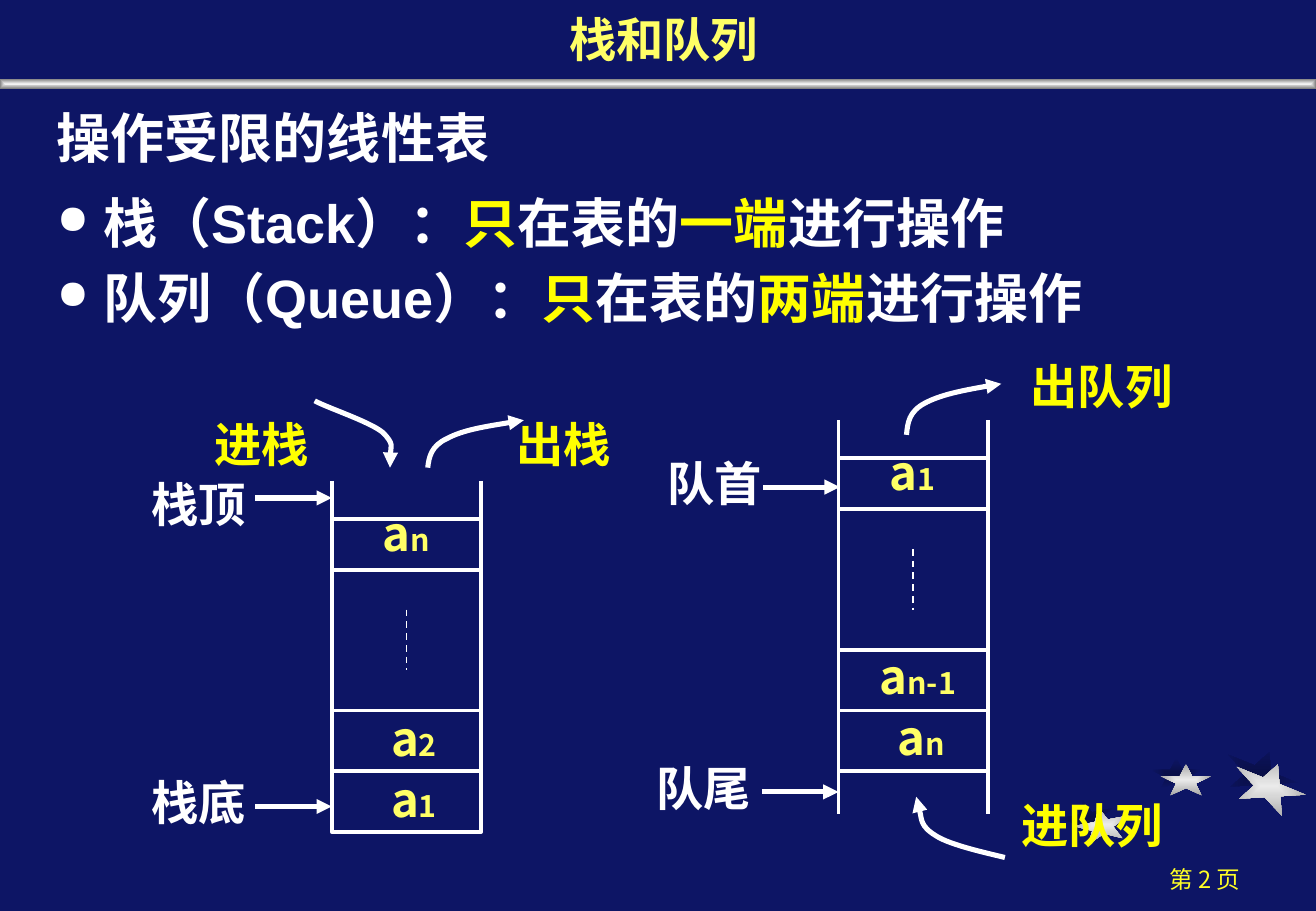
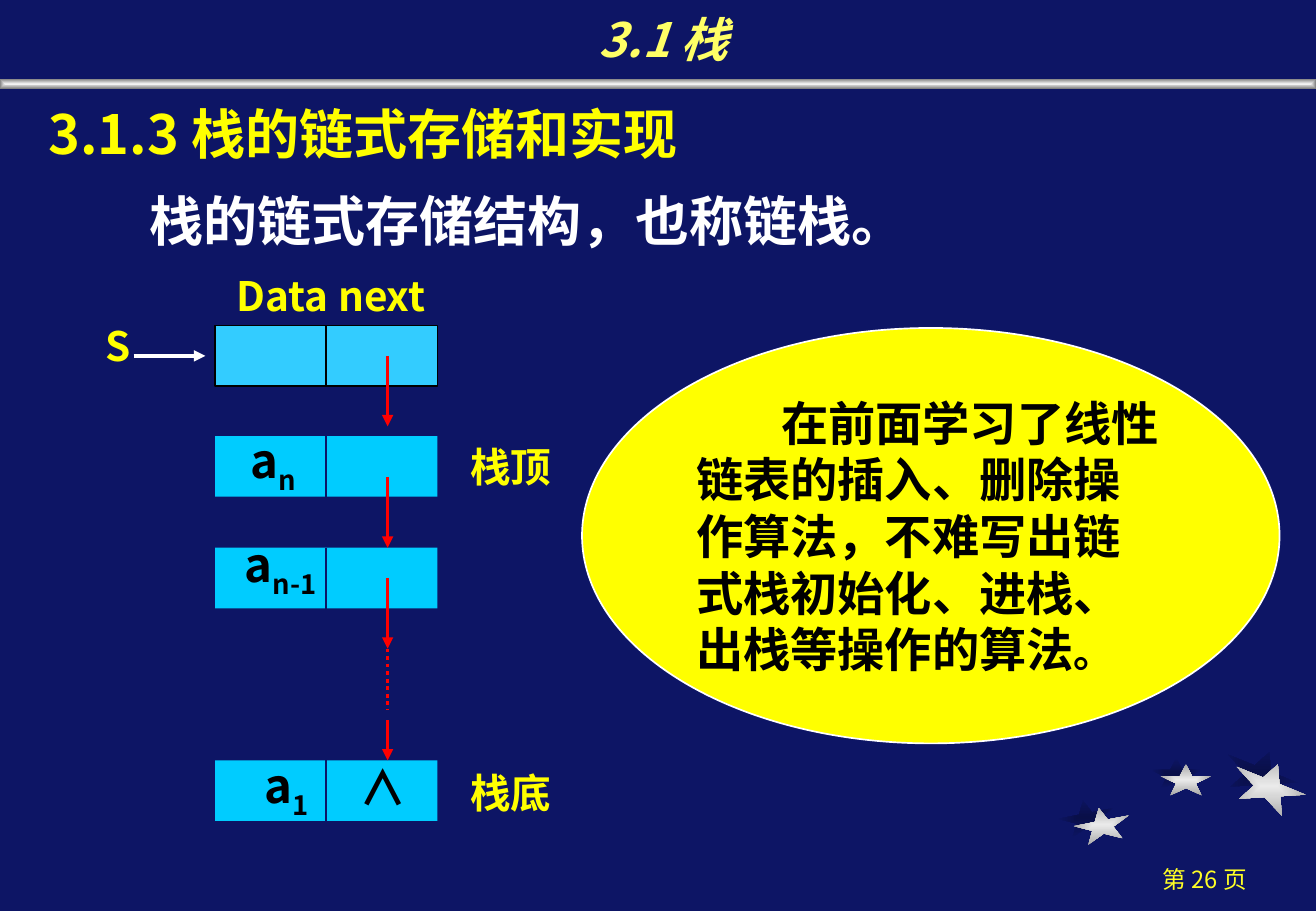
from dataclasses import dataclass
from typing import Optional

from lxml import etree
from pptx import Presentation
from pptx import util as u
from pptx.dml import color
from pptx.enum import dml, shapes, text
from pptx.oxml import ns

COLORS = {
    "navy": "0D1565", "shade": "090F48", "silver": "EAEAEA", "steel": "A7A7A7",
    "shine": "F2F2F2", "gray": "808080", "white": "FFFFFF", "black": "000000",
    "yellow": "FFFF00", "title": "FFFF66", "footer": "FFFF25",
    "red": "FF0000", "cyan": "00CCFF", "sky": "33CCFF",
}
CJK = "Noto Sans CJK SC"
LEFT, CENTER, RIGHT = text.PP_ALIGN.LEFT, text.PP_ALIGN.CENTER, text.PP_ALIGN.RIGHT


@dataclass
class Part:
    words: str
    color: str = ""
    size: int = 0
    subscript: bool = False


@dataclass
class Style:
    size: int = 28
    color: str = "white"
    font: str = CJK
    bold: bool = True
    italic: bool = False
    align: text.PP_ALIGN = LEFT


@dataclass
class Label:
    words: str
    left: float
    top: float
    width: float
    style: Style
    height: float = 0.57


@dataclass
class Star:
    left: float
    top: float
    width: float
    height: float
    turn: int
    shadow_dx: float
    shadow_dy: float


@dataclass
class Element:
    index: str
    left: float
    top: float
    width: float = 0.62


@dataclass
class Column:
    left: float
    top: float
    elements: list[Element]
    open_bottom: bool = False


@dataclass
class Node:
    top: float
    fill: str = "cyan"
    edge: str = "navy"
    outlined: bool = False
    index: str = ""
    index_left: float = 0
    index_top: float = 0


STARS = [
    Star(8.84, 6.65, 0.46, 0.28, 349, 0.13, 0.06),
    Star(9.55, 6.29, 0.42, 0.26, 0, 0.08, 0.05),
    Star(10.14, 6.28, 0.61, 0.38, 22, 0.07, 0.1),
]
ELEMENT = Style(color="title")
ACTION = Style(color="yellow", align=CENTER)
POINTER = Style(align=RIGHT)
CAPTION = Style(24, "yellow")
CELL = Style(color="black", align=CENTER)
COLUMN_WIDTH, COLUMN_HEIGHT = 1.23, 2.58
NODE_LEFT, NODE_WIDTH, NODE_HEIGHT, NEXT_X = 1.77, 1.83, 0.5, 3.19


def rgb(name: str) -> color.RGBColor:
    return color.RGBColor.from_string(COLORS[name])


def write(paragraph, parts: list[Part], style: Style) -> None:
    font = paragraph.font
    font.size, font.bold, font.italic = u.Pt(style.size), style.bold, style.italic
    font.name = style.font
    font.color.rgb = rgb(style.color)
    etree.SubElement(font._element, ns.qn("a:ea"), typeface=CJK)
    paragraph.alignment = style.align
    for part in parts:
        run = paragraph.add_run()
        run.text = part.words
        if part.color:
            run.font.color.rgb = rgb(part.color)
        if part.size:
            run.font.size = u.Pt(part.size)
        if part.subscript:
            run.font._element.set("baseline", "-25000")


def add_box(slide, left: float, top: float, width: float, height: float):
    box = slide.shapes.add_textbox(*map(u.Inches, (left, top, width, height)))
    box.text_frame.word_wrap = True
    return box.text_frame


def add_parts(slide, left: float, top: float, width: float, height: float,
              parts: list[Part], style: Style):
    frame = add_box(slide, left, top, width, height)
    write(frame.paragraphs[0], parts, style)
    return frame


def add_label(slide, label: Label):
    return add_parts(slide, label.left, label.top, label.width, label.height,
                     [Part(label.words)], label.style)


def add_preset(slide, kind, left: float, top: float, width: float, height: float,
               fill: str = "", line: str = "", weight: float = 1):
    preset = slide.shapes.add_shape(kind, *map(u.Inches, (left, top, width, height)))
    preset.shadow.inherit = False
    if fill:
        preset.fill.solid()
        preset.fill.fore_color.rgb = rgb(fill)
    else:
        preset.fill.background()
    if line:
        preset.line.color.rgb = rgb(line)
        preset.line.width = u.Pt(weight)
    else:
        preset.line.fill.background()
    return preset


def shade(preset, inner: str, outer: str) -> None:
    preset.fill.gradient()
    for stop, name, position in zip(preset.fill.gradient_stops, (inner, outer), (0, 1)):
        stop.color.rgb = rgb(name)
        stop.position = position
    gradient = preset._element.spPr.find(ns.qn("a:gradFill"))
    gradient.remove(gradient.find(ns.qn("a:lin")))
    center = etree.SubElement(gradient, ns.qn("a:path"), {"path": "shape"})
    etree.SubElement(center, ns.qn("a:fillToRect"), dict.fromkeys("ltrb", "50000"))


def add_arrowhead(stroke) -> None:
    outline = stroke._element.spPr.find(ns.qn("a:ln"))
    etree.SubElement(outline, ns.qn("a:tailEnd"), type="triangle")


def add_line(slide, x1: float, y1: float, x2: float, y2: float, line: str = "white",
             weight: float = 2.25, dash=None, arrow: bool = False):
    stroke = slide.shapes.add_connector(
        shapes.MSO_CONNECTOR.STRAIGHT, *map(u.Inches, (x1, y1, x2, y2)))
    stroke.line.color.rgb = rgb(line)
    stroke.line.width = u.Pt(weight)
    if dash:
        stroke.line.dash_style = dash
    if arrow:
        add_arrowhead(stroke)
    etree.SubElement(stroke._element.spPr, ns.qn("a:effectLst"))
    return stroke


def add_curved_arrow(slide, points: list[tuple[float, float]]) -> None:
    start, *rest = [(u.Inches(x), u.Inches(y)) for x, y in points]
    builder = slide.shapes.build_freeform(*start)
    builder.add_line_segments(rest, close=False)
    curve = builder.convert_to_shape()
    curve.shadow.inherit = False
    curve.fill.background()
    curve.line.color.rgb = rgb("white")
    curve.line.width = u.Pt(3)
    add_arrowhead(curve)
    steps = list(curve._element.iter(ns.qn("a:lnTo")))
    outline = steps[0].getparent()
    for first in range(0, len(steps), 3):
        bezier = etree.SubElement(outline, ns.qn("a:cubicBezTo"))
        for step in steps[first:first + 3]:
            bezier.append(step[0])
            outline.remove(step)


def add_page(deck, title: str, number: int, italic: bool = False):
    slide = deck.slides.add_slide(deck.slide_layouts[6])
    slide.background.fill.solid()
    slide.background.fill.fore_color.rgb = rgb("navy")
    star5 = shapes.MSO_SHAPE.STAR_5_POINT
    for inner, outer, shift in (("shade", "navy", 1), ("silver", "steel", 0)):
        for star in STARS:
            figure = add_preset(slide, star5, star.left - shift * star.shadow_dx,
                                star.top - shift * star.shadow_dy, star.width, star.height)
            figure.rotation = star.turn
            shade(figure, inner, outer)
    add_label(slide, Label(f"第 {number} 页", 9, 7.07, 1.83,
                           Style(14, "footer", bold=False, align=CENTER), 0.33))
    band = add_preset(slide, shapes.MSO_SHAPE.RECTANGLE, 0, 0.65, 10.83, 0.08)
    shade(band, "shine", "gray")
    heading = add_label(slide, Label(title, 0.38, 0, 10.16,
                                     Style(color="title", italic=italic, align=CENTER), 0.6))
    heading.vertical_anchor = text.MSO_ANCHOR.BOTTOM
    return slide


def add_bullet(paragraph) -> None:
    props = paragraph._p.get_or_add_pPr()
    props.set("marL", str(u.Inches(0.38)))
    props.set("indent", str(-u.Inches(0.38)))
    tint = etree.SubElement(props, ns.qn("a:buClr"))
    etree.SubElement(tint, ns.qn("a:srgbClr"), val=COLORS["white"])
    etree.SubElement(props, ns.qn("a:buSzPct"), val="75000")
    etree.SubElement(props, ns.qn("a:buChar"), char="●")


def add_column(slide, column: Column) -> None:
    left, top = column.left, column.top
    right = left + COLUMN_WIDTH
    add_preset(slide, shapes.MSO_SHAPE.RECTANGLE, left, top, COLUMN_WIDTH, COLUMN_HEIGHT,
               line="white", weight=2.25)
    for drop in (0.42, 1.58, 2.08):
        add_line(slide, left, top + drop, right, top + drop)
    middle = left + COLUMN_WIDTH / 2
    add_line(slide, middle, top + 0.75, middle, top + 1.25,
             weight=1, dash=dml.MSO_LINE.DASH)
    for start in (-0.31, COLUMN_HEIGHT) if column.open_bottom else (-0.31,):
        for wall in (left, right):
            add_line(slide, wall, top + start, wall, top + start + 0.35)
    for element in column.elements:
        add_parts(slide, element.left, element.top, element.width, 0.57,
                  [Part("a"), Part(element.index, size=18)], ELEMENT)


def add_node(slide, node: Node) -> None:
    cell = add_preset(slide, shapes.MSO_SHAPE.RECTANGLE, NODE_LEFT, node.top, NODE_WIDTH,
                      NODE_HEIGHT, node.fill, node.edge if node.outlined else "")
    middle = NODE_LEFT + NODE_WIDTH / 2
    divider: Optional[object] = add_line(slide, middle, node.top, middle,
                                         node.top + NODE_HEIGHT, node.edge, 1)
    divider.begin_connect(cell, 0)
    divider.end_connect(cell, 2)
    if node.index:
        add_parts(slide, node.index_left, node.index_top, 0.92, 0.57,
                  [Part("a"), Part(node.index, subscript=True)], CELL)


def build_overview(deck) -> None:
    slide = add_page(deck, "栈和队列", 2)
    frame = add_box(slide, 0.37, 0.81, 10.16, 2.16)
    body = Style(32, font="Arial")
    write(frame.paragraphs[0], [Part("操作受限的线性表")], body)
    for term, ends, gap in (("栈（Stack）：", "一端", 12), ("队列（Queue）：", "两端", 6)):
        item = frame.add_paragraph()
        add_bullet(item)
        item.space_before = u.Pt(gap)
        write(item, [Part(term), Part("只", "yellow"), Part("在表的"),
                     Part(ends, "yellow"), Part("进行操作")], body)
    add_column(slide, Column(2.73, 4.27, [
        Element("n", 3.05, 4.1), Element("2", 3.12, 5.79), Element("1", 3.12, 6.29)]))
    add_column(slide, Column(6.9, 3.77, [
        Element("1", 7.22, 3.6), Element("n-1", 7.14, 5.28, 0.96),
        Element("n", 7.29, 5.78)], open_bottom=True))
    for words, left, top, arrow_x, arrow_y in (
            ("栈顶", 0.77, 3.86, 2.1, 4.1), ("栈底", 0.77, 6.32, 2.1, 6.64),
            ("队首", 5.02, 3.69, 6.28, 4.01), ("队尾", 4.93, 6.2, 6.27, 6.52)):
        add_label(slide, Label(words, left, top, 1.35, POINTER))
        add_line(slide, arrow_x, arrow_y, arrow_x + 0.63, arrow_y, weight=3, arrow=True)
    for action, points in (
            (Label("出栈", 4.05, 3.37, 1.18, ACTION),
             [(3.52, 3.85), (3.53, 3.76), (3.55, 3.67), (3.68, 3.61),
              (3.81, 3.54), (4.06, 3.5), (4.31, 3.46)]),
            (Label("进栈", 1.61, 3.37, 1.09, ACTION),
             [(2.59, 3.3), (2.7, 3.36), (3.04, 3.47), (3.15, 3.56),
              (3.25, 3.66), (3.2, 3.81), (3.21, 3.85)]),
            (Label("出队列", 8.32, 2.89, 1.49, ACTION),
             [(7.46, 3.58), (7.47, 3.48), (7.48, 3.39), (7.61, 3.32),
              (7.74, 3.25), (7.99, 3.2), (8.24, 3.16)]),
            (Label("进队列", 8.24, 6.51, 1.49, ACTION),
             [(8.27, 7.06), (8.15, 7.03), (7.82, 6.96), (7.7, 6.88),
              (7.57, 6.8), (7.56, 6.61), (7.54, 6.56)])):
        add_label(slide, action)
        add_curved_arrow(slide, points)


def build_linked_stack(deck) -> None:
    slide = add_page(deck, "3.1 栈", 26, italic=True)
    add_label(slide, Label("3.1.3 栈的链式存储和实现", 0.3, 0.78, 6, Style(32, "yellow"), 0.63))
    summary = add_label(slide, Label("栈的链式存储结构，也称链栈。", 1.13, 1.39, 6.65,
                                     Style(32, font="Times New Roman"), 0.74))
    summary.paragraphs[0].line_spacing = 1.2
    remark = add_preset(slide, shapes.MSO_SHAPE.OVAL, 4.79, 2.7, 5.74, 3.42,
                        "yellow", "white").text_frame
    remark.word_wrap = True
    remark.vertical_anchor = text.MSO_ANCHOR.MIDDLE
    advice = remark.paragraphs[0]
    advice._p.get_or_add_pPr().set("indent", str(u.Inches(0.7)))
    write(advice, [Part("在前面学习了线性链表的插入、删除操作算法，"
                        "不难写出链式栈初始化、进栈、出栈等操作的算法"),
                   Part("。", size=24)], Style(color="black", font="Times New Roman"))
    for node in (Node(2.68, "sky", "black", outlined=True),
                 Node(3.59, index="n", index_left=1.79, index_top=3.5),
                 Node(4.51, index="n-1", index_left=1.85, index_top=4.36),
                 Node(6.26, index="1", index_left=1.9, index_top=6.18)):
        add_node(slide, node)
    for start, end in ((2.93, 3.51), (3.93, 4.51), (4.76, 5.34), (5.93, 6.26)):
        add_line(slide, NEXT_X, start, NEXT_X, end, "red", arrow=True)
    add_line(slide, NEXT_X, 5.34, NEXT_X, 5.84, "red", dash=dml.MSO_LINE.ROUND_DOT)
    add_line(slide, 1.1, 2.93, 1.69, 2.93, arrow=True)
    for label in (Label("Data next", 1.85, 2.18, 2.33, CAPTION, 0.5),
                  Label("S", 0.77, 2.59, 0.75, CAPTION, 0.5),
                  Label("栈顶", 3.77, 3.59, 1.08, CAPTION, 0.5),
                  Label("栈底", 3.77, 6.27, 1.08, CAPTION, 0.5),
                  Label("∧", 2.69, 6.19, 0.92, CELL)):
        add_label(slide, label)


def main() -> None:
    deck = Presentation()
    deck.slide_width, deck.slide_height = u.Inches(10.83), u.Inches(7.5)
    build_overview(deck)
    build_linked_stack(deck)
    deck.save("out.pptx")


if __name__ == "__main__":
    main()
